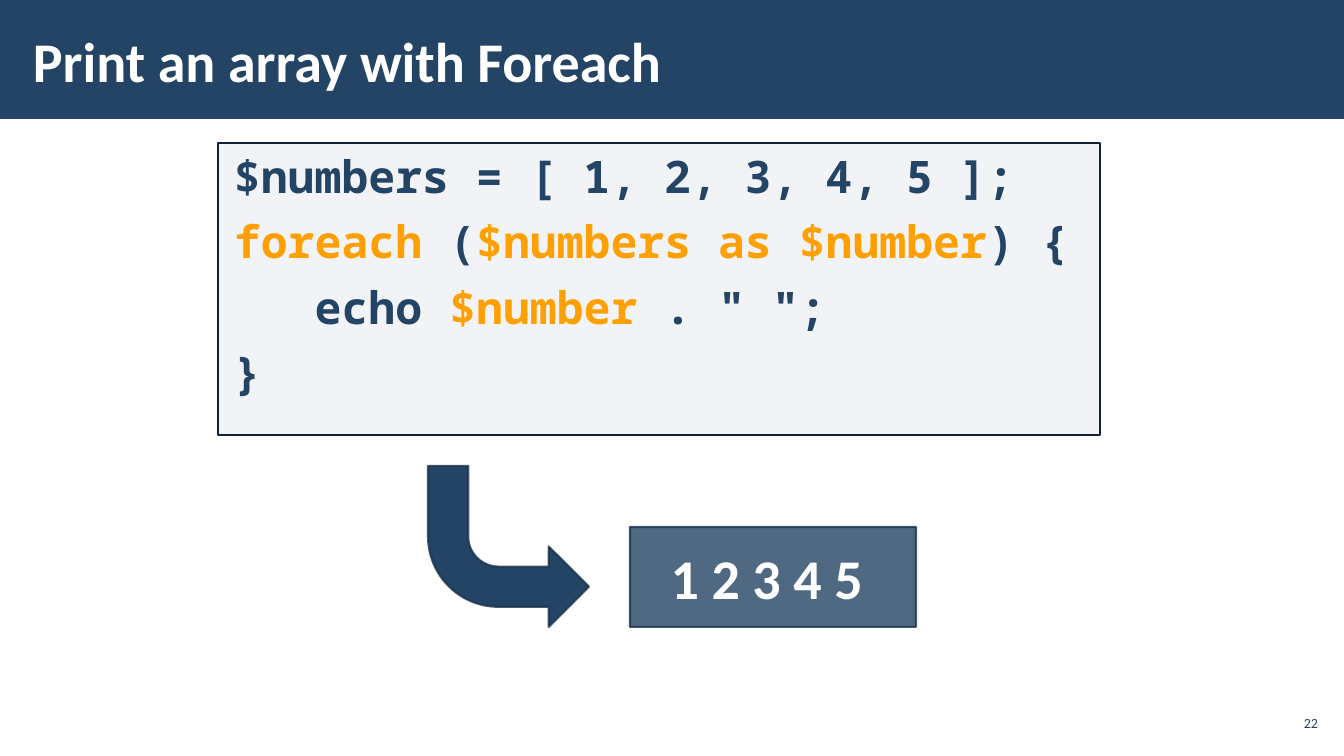
from lxml import etree
from pptx import Presentation
from pptx.dml.color import RGBColor
from pptx.enum.shapes import MSO_SHAPE
from pptx.enum.text import MSO_ANCHOR, PP_ALIGN
from pptx.oxml.ns import qn
from pptx.util import Pt

RECTANGLE, BENT_ARROW = MSO_SHAPE.RECTANGLE, MSO_SHAPE.BENT_ARROW
TOP, MIDDLE = MSO_ANCHOR.TOP, MSO_ANCHOR.MIDDLE
LEFT, CENTER, RIGHT = PP_ALIGN.LEFT, PP_ALIGN.CENTER, PP_ALIGN.RIGHT

# Content
NAVY, ORANGE, WHITE = "234465", "FFA000", "FFFFFF"
CODE_FILL, CODE_LINE, SHAPE_LINE = "ADB4C3", "112233", "1A334C"
SANS, MONO = "Calibri", "Noto Sans Mono"

TITLE = [[("Print an array with Foreach", WHITE)]]
CODE = [
    [("$numbers = [ 1, 2, 3, 4, 5 ];", NAVY)],
    [("foreach", ORANGE), (" (", NAVY), ("$numbers as $number", ORANGE), (") {", NAVY)],
    [("   echo ", NAVY), ("$number ", ORANGE), ('. " ";', NAVY)],
    [("}", NAVY)],
]
OUTPUT = [[("1 2 3 4 5 ", WHITE)]]
PAGE_NUMBER = [[("22", NAVY)]]

# Layout in px: left, top, width, height
PX = 914400 / 100.8
PAGE_SIZE = (1344, 756)
HEADER_BOX = (0, 0, 1344, 119)
TITLE_BOX = (21, 11, 1047, 98)
CODE_BOX = (218, 143, 882, 292)
ARROW_BOX = (428, 466, 161, 161)
OUTPUT_BOX = (630, 527, 286, 100)
NUMBER_BOX = (1275, 706, 47, 34)


def px(*lengths):
    return [round(length * PX) for length in lengths]


def color(hex_string):
    return RGBColor.from_string(hex_string)


def set_alpha(color_format_owner, percent):
    """Make a solid fill translucent."""
    for tone in color_format_owner.iter(qn("a:srgbClr")):
        etree.SubElement(tone, qn("a:alpha")).set("val", str(percent * 1000))


def add_block(page, kind, box, fill, fill_alpha=100, line=None, line_width=1.5, line_alpha=80):
    shape = page.shapes.add_shape(kind, *px(*box))
    shape.shadow.inherit = False
    shape.fill.solid()
    shape.fill.fore_color.rgb = color(fill)
    properties = shape._element.spPr
    if fill_alpha < 100:
        set_alpha(properties.find(qn("a:solidFill")), fill_alpha)
    if line is None:
        shape.line.fill.background()
    else:
        shape.line.color.rgb = color(line)
        shape.line.width = Pt(line_width)
        if line_alpha < 100:
            set_alpha(properties.find(qn("a:ln")), line_alpha)
    return shape


def write(shape, lines, font, size, bold=True, align=LEFT, anchor=MIDDLE,
          insets=(10, 5), gap=0, spacing=1.0):
    frame = shape.text_frame
    frame.word_wrap = True
    frame.vertical_anchor = anchor
    frame.margin_left, frame.margin_top = px(*insets)
    frame.margin_right, frame.margin_bottom = px(*insets)
    for index, line in enumerate(lines):
        para = frame.add_paragraph() if index else frame.paragraphs[0]
        para.alignment = align
        para.space_before = para.space_after = Pt(gap)
        para.line_spacing = spacing
        for text, tone in line:
            span = para.add_run()
            span.text = text
            span.font.name = font
            span.font.size = Pt(size)
            span.font.bold = bold
            span.font.color.rgb = color(tone)


def main():
    deck = Presentation()
    deck.slide_width, deck.slide_height = px(*PAGE_SIZE)
    page = deck.slides.add_slide(deck.slide_layouts[6])

    # Header band and title
    add_block(page, RECTANGLE, HEADER_BOX, NAVY)
    title = page.shapes.add_textbox(*px(*TITLE_BOX))
    write(title, TITLE, SANS, 40, insets=(12, 4))

    # Code listing
    code = add_block(page, RECTANGLE, CODE_BOX, CODE_FILL, 15, CODE_LINE, 1, 100)
    write(code, CODE, MONO, 32, anchor=TOP, insets=(16, 12), gap=6, spacing=0.9)

    # Arrow down to the printed result
    arrow = add_block(page, BENT_ARROW, ARROW_BOX, NAVY, line=SHAPE_LINE)
    arrow._element.spPr.get_or_add_xfrm().set("flipV", "1")
    output = add_block(page, RECTANGLE, OUTPUT_BOX, NAVY, 80, SHAPE_LINE)
    write(output, OUTPUT, SANS, 40, align=CENTER)

    # Page number
    number = page.shapes.add_textbox(*px(*NUMBER_BOX))
    write(number, PAGE_NUMBER, SANS, 10, bold=False, align=RIGHT, insets=(4, 4))

    deck.save("out.pptx")


if __name__ == "__main__":
    main()
